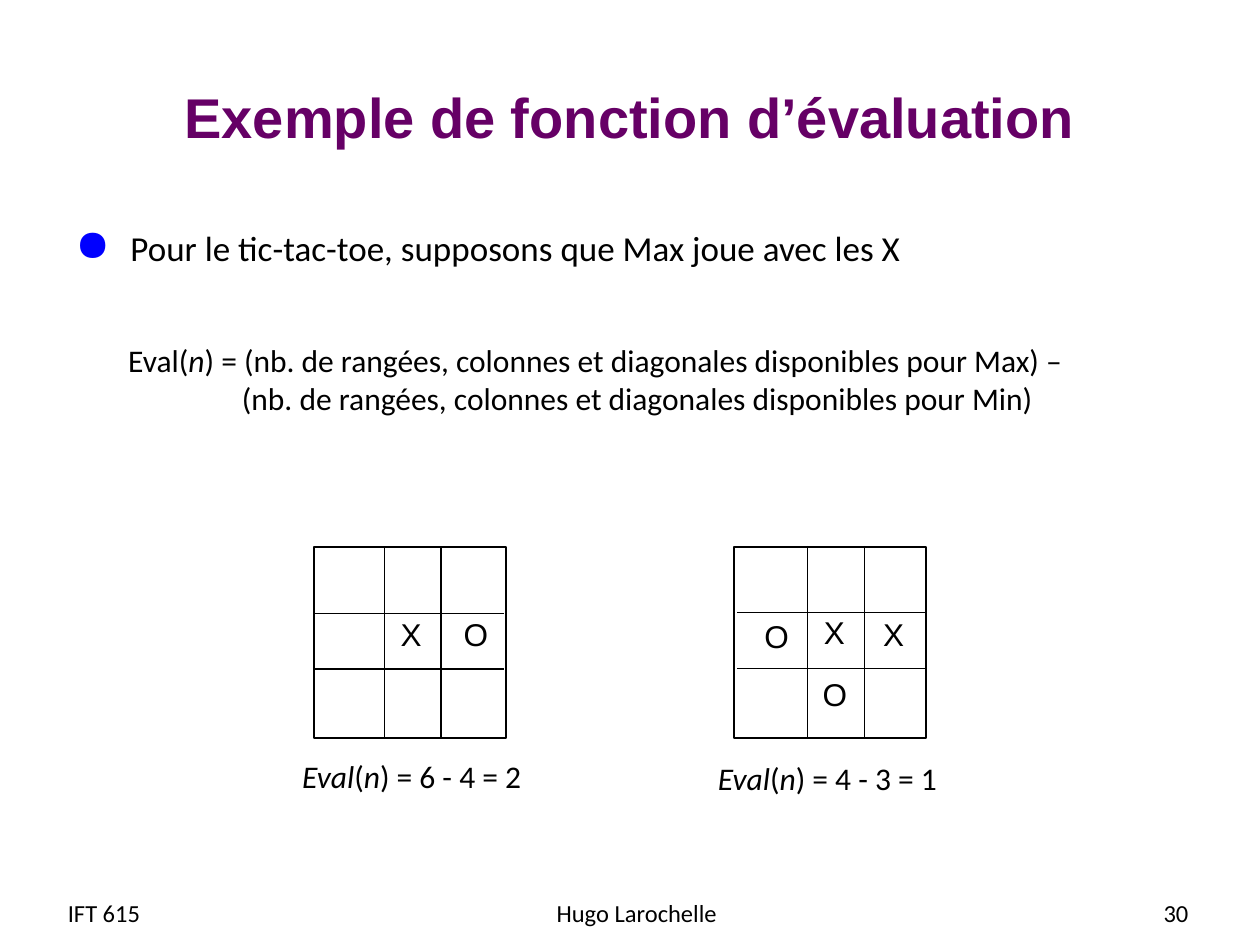
import pptx
import pptx.util
import pptx.dml.color
import pptx.enum.shapes
import pptx.enum.text
import lxml.etree
from pptx.util import Pt

ALIGN = pptx.enum.text.PP_ALIGN
ANCHOR = pptx.enum.text.MSO_ANCHOR
BLACK = "000000"


def color(code):
    return pptx.dml.color.RGBColor.from_string(code)


def write(shapes, box, lines, size, face="Calibri", align=ALIGN.LEFT, wrap=True):
    """Add a text box; each line is a list of runs, and *run is italic."""
    frame = shapes.add_textbox(*[Pt(v) for v in box]).text_frame
    frame.word_wrap = wrap
    for i, runs in enumerate(lines):
        para = frame.paragraphs[0] if i == 0 else frame.add_paragraph()
        para.alignment = align
        para.font.size = Pt(size)
        para.font.name = face
        para.font.color.rgb = color(BLACK)
        for text in runs:
            run = para.add_run()
            run.text = text.lstrip("*")
            if text.startswith("*"):
                run.font.italic = True
    return frame


deck = pptx.Presentation()
deck.slide_width, deck.slide_height = Pt(720), Pt(540)
slide = deck.slides.add_slide(deck.slide_layouts[5])
shapes = slide.shapes

# Title
title = shapes.title
title.left, title.top, title.width, title.height = Pt(36), Pt(21.6), Pt(648), Pt(90)
title.text_frame.text = "Exemple de fonction d’évaluation"
title.text_frame.vertical_anchor = ANCHOR.MIDDLE
para = title.text_frame.paragraphs[0]
para.alignment = ALIGN.CENTER
para.font.size = Pt(32)
para.font.name = "Arial"
para.font.bold = True
para.font.color.rgb = color("660066")

# Bullet point
frame = write(shapes, (36, 126, 648, 356.4),
              [["Pour le tic-tac-toe, supposons que Max joue avec les X"]], 20)
props = frame.paragraphs[0]._p.get_or_add_pPr()
props.set("marL", str(Pt(31.5)))
props.set("indent", str(Pt(-31.5)))
bullet = lxml.etree.fromstring(
    '<a:b xmlns:a="http://schemas.openxmlformats.org/drawingml/2006/main">'
    '<a:buClr><a:srgbClr val="0000FF"/></a:buClr><a:buSzPct val="125000"/>'
    '<a:buChar char="●"/></a:b>')
for i, part in enumerate(list(bullet)):
    props.insert(i, part)

# Evaluation formula, second line indented under the first bracket
frame = write(shapes, (66.2, 191.5, 640, 50.4), [
    ["Eval(", "*n", ") = (nb. de rangées, colonnes et diagonales disponibles pour Max) –"],
    ["(nb. de rangées, colonnes et diagonales disponibles pour Min)"]], 18)
frame.paragraphs[1]._p.get_or_add_pPr().set("marL", str(Pt(65)))

# Boards: frame left, grid left, grid top, marks (text, left, top)
boards = [
    (179.3, 179.3, 312.5, [("X", 221.8, 347.8), ("O", 257.8, 347.8)]),
    (419.3, 421.2, 312, [("X", 463.7, 347), ("O", 463, 382.3),
                         ("X", 497.5, 347.8), ("O", 429.8, 349.2)]),
]
for edge, left, top, marks in boards:
    group = shapes.add_group_shape().shapes
    lines = [(left, top + y, left + 108.7, top + y) for y in (38.1, 69.8)]
    lines += [(left + x, top, left + x, top + 109.4) for x in (40.3, 72.7)]
    for ends in lines:
        line = group.add_connector(pptx.enum.shapes.MSO_CONNECTOR.STRAIGHT,
                                   *[Pt(v) for v in ends])
        line.line.width = Pt(0.75)
        line.line.color.rgb = color(BLACK)
        lxml.etree.SubElement(line._element.spPr, pptx.oxml.ns.qn("a:effectLst"))
    for mark, x, y in marks:
        write(group, (x, y, 26 if mark == "X" else 28, 29), [[mark]], 18,
              "Arial", wrap=False)
    square = group.add_shape(pptx.enum.shapes.MSO_SHAPE.RECTANGLE,
                             Pt(edge), Pt(312.5), Pt(110), Pt(109.4))
    square.shadow.inherit = False
    square.fill.background()
    square.line.width = Pt(1)
    square.line.color.rgb = color(BLACK)

# Scores under the boards
for x, y, score in [(165.6, 429.1, "6 - 4 = 2"), (403.2, 430.2, "4 - 3 = 1")]:
    write(shapes, (x, y, 139.7, 29), [["*Eval", "(", "*n", ") = " + score]], 18,
          wrap=False)

# Footer
for x, width, text, align in [(31.7, 139, "IFT 615", ALIGN.LEFT),
                              (249.8, 228.2, "Hugo Larochelle", ALIGN.CENTER),
                              (518.4, 167.8, "30", ALIGN.RIGHT)]:
    frame = write(shapes, (x, 506.9, width, 28.8), [[text]], 14, align=align)
    frame.vertical_anchor = ANCHOR.MIDDLE

deck.save("out.pptx")
